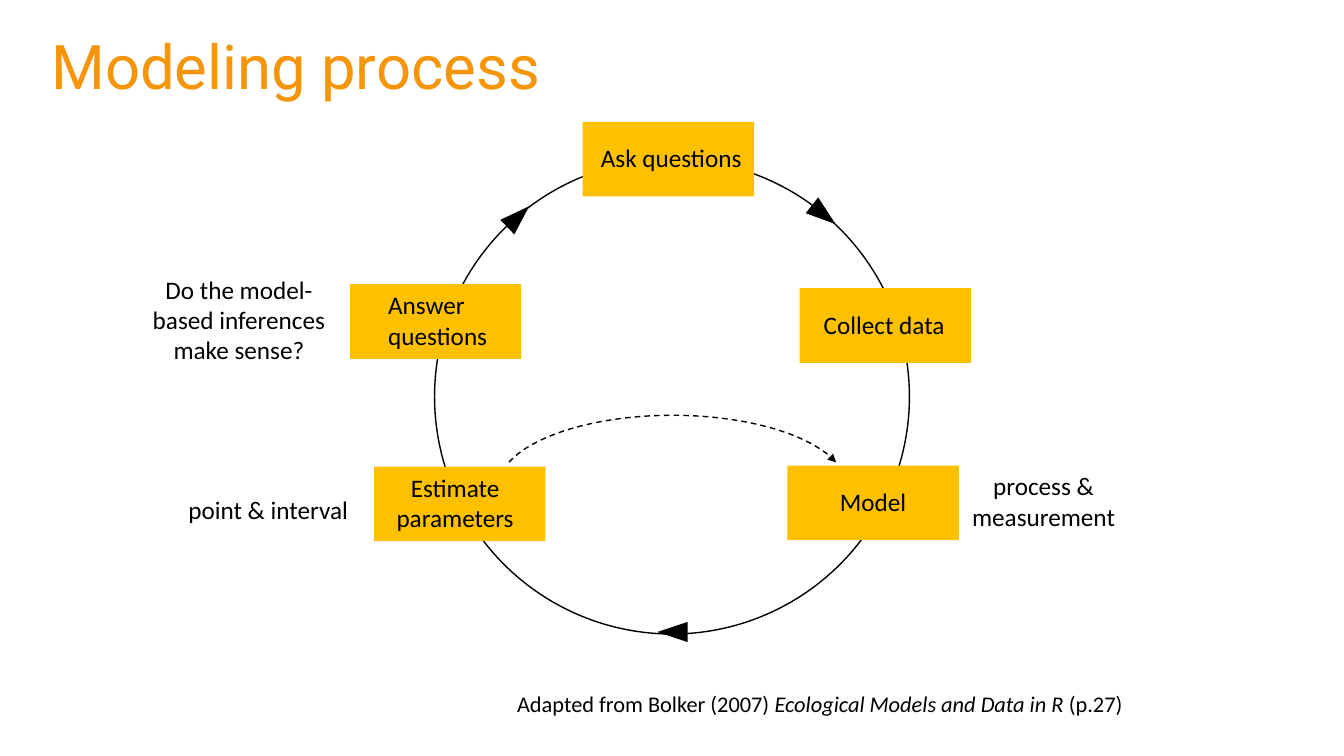
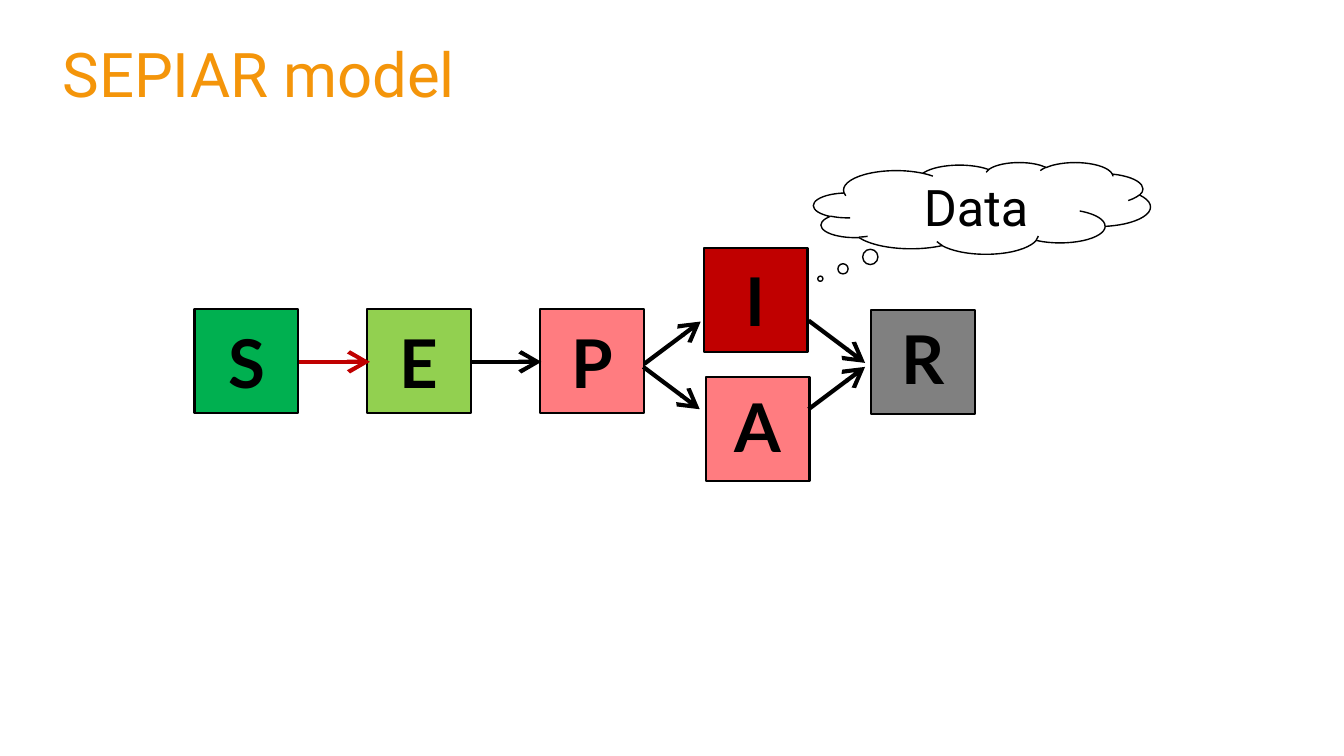
from lxml.etree import SubElement
from pptx import Presentation
from pptx.dml.color import RGBColor
from pptx.enum.dml import MSO_LINE
from pptx.enum.shapes import MSO_CONNECTOR, MSO_SHAPE
from pptx.enum.text import MSO_ANCHOR, MSO_AUTO_SIZE, PP_ALIGN
from pptx.oxml.ns import qn
from pptx.util import Emu, Pt

EMU_PER_PX = 9144
ORANGE = "F4950A"
AMBER = "FFC000"
BLACK = "000000"
RED = "C00000"
PINK = "FF7C80"
TITLE_ONLY = 5


def px(length):
    """Turn px into EMU, at 100 px to the inch."""
    return Emu(round(length * EMU_PER_PX))


def lengths(*values):
    """Turn several px lengths into EMU."""
    return [px(value) for value in values]


def rgb(color):
    """Turn a hex string into a colour."""
    return RGBColor.from_string(color)


def add_span(para, text, font="Calibri", size=18, color=BLACK, bold=False, italic=False):
    """Add one formatted run to a paragraph."""
    span = para.add_run()
    span.text = text
    span.font.name = font
    span.font.size = Pt(size)
    span.font.color.rgb = rgb(color)
    span.font.bold = bold
    span.font.italic = italic


def write(shape, text, align=PP_ALIGN.CENTER, anchor=MSO_ANCHOR.MIDDLE,
          insets=(10, 5, 10, 5), spacing=None, **style):
    """Fill a shape with one wrapped paragraph and return the paragraph."""
    frame = shape.text_frame
    frame.word_wrap = True
    frame.auto_size = MSO_AUTO_SIZE.NONE
    frame.vertical_anchor = anchor
    (frame.margin_left, frame.margin_top,
     frame.margin_right, frame.margin_bottom) = lengths(*insets)
    para = frame.paragraphs[0]
    para.alignment = align
    para.line_spacing = spacing
    add_span(para, text, **style)
    return para


def add_page(deck, title, left, top, height):
    """Add a slide with its title."""
    page = deck.slides.add_slide(deck.slide_layouts[TITLE_ONLY])
    box = page.shapes.title
    box.left, box.top, box.width, box.height = lengths(left, top, 1112, height)
    write(box, title, align=PP_ALIGN.LEFT, spacing=0.9, font="Roboto", size=44, color=ORANGE)
    return page


def add_figure(page, kind, left, top, width, height, fill=None, line=None, rotation=0):
    """Add a preset shape with an optional fill and black outline width."""
    shape = page.shapes.add_shape(kind, *lengths(left, top, width, height))
    shape.shadow.inherit = False
    shape.rotation = rotation
    if fill:
        shape.fill.solid()
        shape.fill.fore_color.rgb = rgb(fill)
    else:
        shape.fill.background()
    if line:
        shape.line.color.rgb = rgb(BLACK)
        shape.line.width = Pt(line)
    else:
        shape.line.fill.background()
    return shape


def add_note(page, text, left, top, width, height, **style):
    """Add a plain text box and return its paragraph."""
    box = page.shapes.add_textbox(*lengths(left, top, width, height))
    return write(box, text, anchor=MSO_ANCHOR.TOP, **style)


def add_step(page, text, left, top, indent, right=0, align=PP_ALIGN.LEFT):
    """Add one labelled step of the modeling cycle."""
    box = add_figure(page, MSO_SHAPE.RECTANGLE, left, top, 170, 74, fill=AMBER)
    write(box, text, align=align, insets=(indent, 0, right, 3))


def add_compartment(page, letter, left, top, fill, lift=0):
    """Add one lettered compartment of the epidemic model."""
    box = add_figure(page, MSO_SHAPE.RECTANGLE, left, top, 103, 103, fill=fill, line=1.5)
    write(box, letter, insets=(0, 0, 0, lift), font="Lato", size=48, bold=True)


def add_head(line, kind, size):
    """Put an arrowhead at the end of a line."""
    SubElement(line._get_or_add_ln(), qn("a:tailEnd"), type=kind, w=size, len=size)


def add_arrow(page, start, end, color=BLACK):
    """Add a thick open-headed arrow between two points."""
    arrow = page.shapes.add_connector(MSO_CONNECTOR.STRAIGHT, *lengths(*start, *end))
    arrow.line.color.rgb = rgb(color)
    arrow.line.width = Pt(3)
    add_head(arrow.line, "arrow", "lg")
    SubElement(arrow._element.spPr, qn("a:effectLst"))


def build_process(deck):
    """Build the modeling cycle slide."""
    page = add_page(deck, "Modeling process", 41, 4, 129)
    add_figure(page, MSO_SHAPE.OVAL, 431, 158, 471, 471, line=1)

    add_step(page, "Ask questions", 578, 121, indent=18)
    add_step(page, "Collect data", 793, 286, indent=24)
    add_step(page, "Model", 781, 462, indent=52)
    add_step(page, "Estimate parameters", 371, 463, indent=10, right=19, align=PP_ALIGN.CENTER)
    add_step(page, "Answer questions", 347, 282, indent=38)

    for left, top, rotation in ((504, 200, 46.2), (807, 198, 128.5), (657, 612, 270)):
        add_figure(page, MSO_SHAPE.ISOSCELES_TRIANGLE, left, top, 20, 30,
                   fill=BLACK, rotation=rotation)

    feedback = add_figure(page, MSO_SHAPE.ARC, 494, 412, 346, 143, line=1)
    feedback.adjustments[0] = 113.25
    feedback.adjustments[1] = 210.81
    feedback.line.dash_style = MSO_LINE.DASH
    add_head(feedback.line, "triangle", "med")

    add_note(page, "process & measurement", 926, 462, 218, 71)
    add_note(page, "Do the model-based inferences make sense?", 128, 267, 218, 101)
    add_note(page, "point & interval", 157, 485, 218, 40)
    credit = add_note(page, "Adapted from Bolker (2007) ", 503, 680, 641, 37,
                      align=PP_ALIGN.LEFT, size=16)
    add_span(credit, "Ecological Models and Data in R", size=16, italic=True)
    add_span(credit, " (p.27)", size=16)


def build_sepiar(deck):
    """Build the compartment model slide."""
    page = add_page(deck, "SEPIAR model", 52, 24, 105)
    add_compartment(page, "S", 193, 307, "00B050")
    add_compartment(page, "E", 364, 307, "92D050")
    add_compartment(page, "P", 536, 307, PINK)
    add_compartment(page, "I", 698, 246, RED)
    add_compartment(page, "A", 700, 374, PINK, lift=6)
    add_compartment(page, "R", 864, 308, "808080", lift=10)

    cloud = add_figure(page, MSO_SHAPE.CLOUD_CALLOUT, 807, 161, 334, 91, line=1)
    cloud.adjustments[0] = -0.48
    cloud.adjustments[1] = 0.77
    write(cloud, "Data", insets=(12, 0, 0, 0), font="Roboto", size=36)

    add_arrow(page, (297, 359), (367, 359), color=RED)
    add_arrow(page, (467, 359), (537, 359))
    add_arrow(page, (639, 361), (695, 319))
    add_arrow(page, (638, 364), (694, 406))
    add_arrow(page, (802, 406), (858, 364))
    add_arrow(page, (802, 318), (858, 360))


def main():
    """Build and save the deck."""
    deck = Presentation()
    deck.slide_width, deck.slide_height = lengths(1333, 750)
    build_process(deck)
    build_sepiar(deck)
    deck.save("out.pptx")


if __name__ == "__main__":
    main()
